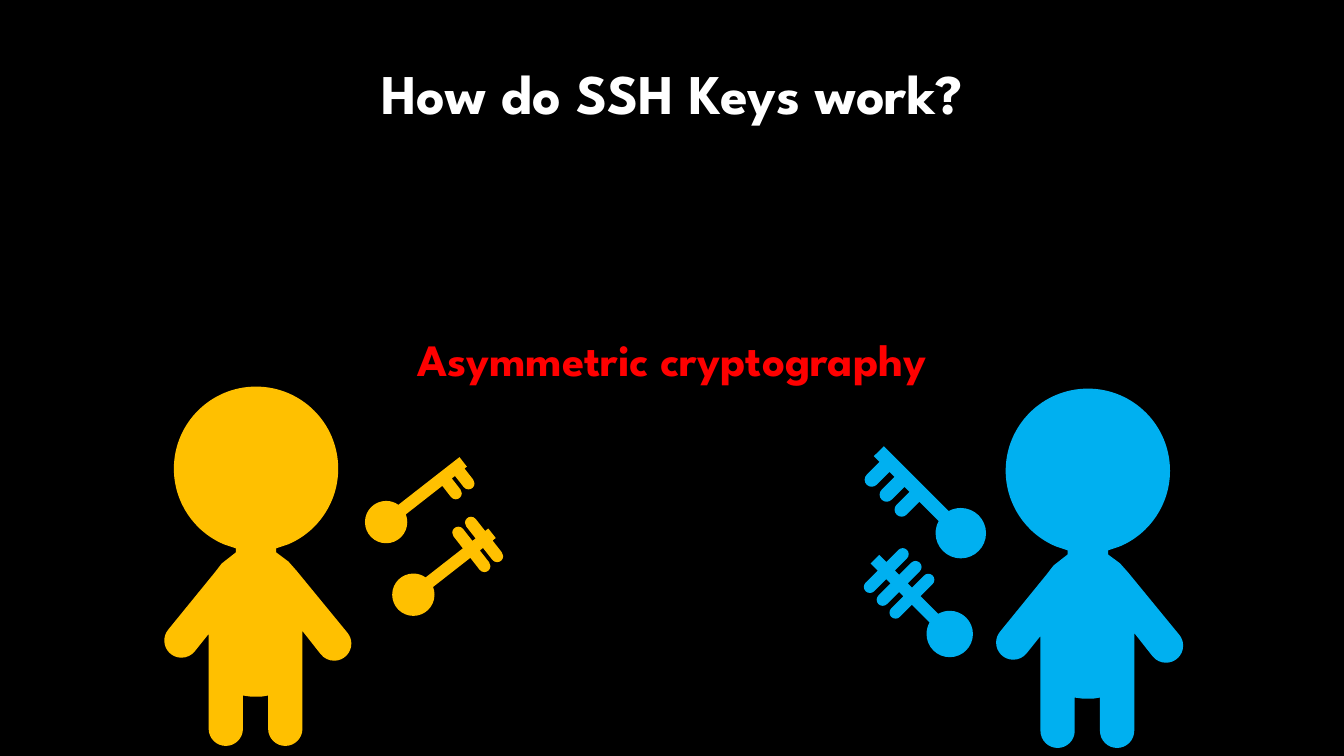
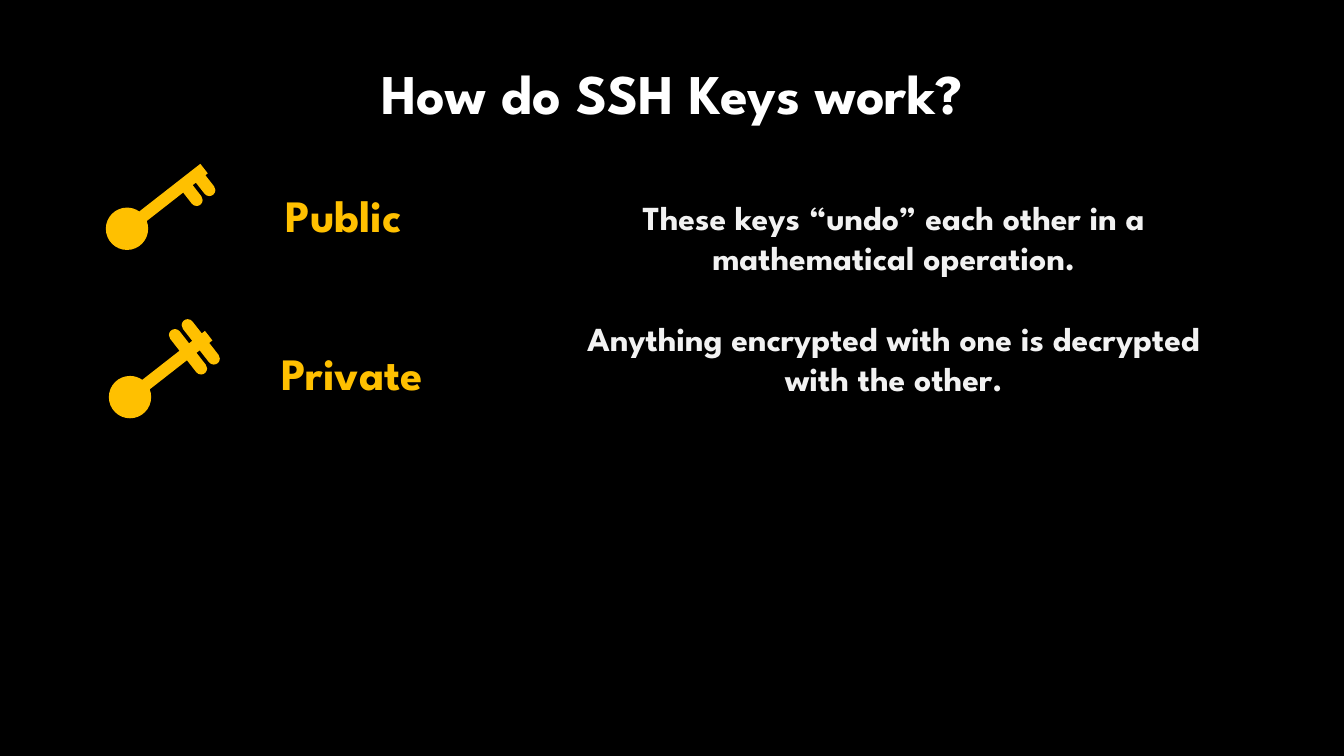
from collections import namedtuple
from math import asin, ceil, cos, degrees, floor, radians, sin, tan

from lxml import etree
from pptx import Presentation
from pptx.dml.color import RGBColor
from pptx.enum.text import MSO_AUTO_SIZE, PP_ALIGN
from pptx.oxml.ns import qn
from pptx.util import Inches, Pt

CENTER = PP_ALIGN.CENTER
FIT_SHAPE = MSO_AUTO_SIZE.SHAPE_TO_FIT_TEXT
BLANK_LAYOUT = 6

BLACK = RGBColor(0x00, 0x00, 0x00)
WHITE = RGBColor(0xFF, 0xFF, 0xFF)
OFF_WHITE = RGBColor(0xF2, 0xF2, 0xF2)
RED = RGBColor(0xFF, 0x00, 0x00)
GOLD = RGBColor(0xFF, 0xC0, 0x00)
BLUE = RGBColor(0x00, 0xB0, 0xF0)
FONT = "League Spartan"
WIDTH, HEIGHT = 13.33, 7.5
TITLE = "How do SSH Keys work?"

# Key sizes in inches, measured from the centre of the bow along the shaft.
# "left" and "right" say how far the teeth reach on each side of the shaft.
GOLD_PUBLIC = dict(color=GOLD, angle=-38, bow=0.21, half=0.06, tip=0.97,
                   teeth=(0.72, 0.88), left=0, right=0.26)
GOLD_PRIVATE = dict(color=GOLD, angle=-38, bow=0.21, half=0.06, tip=0.99,
                    teeth=(0.73, 0.89), left=0.27, right=0.27)
BLUE_PUBLIC = dict(color=BLUE, angle=225, bow=0.25, half=0.07, tip=1.15,
                   teeth=(0.58, 0.79, 1.0), left=0.32, right=0)
BLUE_PRIVATE = dict(color=BLUE, angle=225, bow=0.23, half=0.06, tip=1.05,
                    teeth=(0.53, 0.71, 0.89), left=0.29, right=0.29)

# Texts: paragraphs, (left, top, width, height), size, colour.
# People: head centre, colour. Keys: bow centre, kind of key.
SLIDES = [
    dict(
        texts=[(["Asymmetric cryptography"], (0, 3.24, WIDTH, 0.64), 32, RED)],
        people=[((2.54, 4.65), GOLD), ((10.79, 4.67), BLUE)],
        keys=[((3.83, 5.18), GOLD_PUBLIC), ((4.1, 5.9), GOLD_PRIVATE),
              ((9.53, 5.29), BLUE_PUBLIC), ((9.42, 6.29), BLUE_PRIVATE)],
    ),
    dict(
        texts=[
            (["Public"], (2.59, 1.81, 1.64, 0.64), 32, GOLD),
            (["Private"], (2.54, 3.38, 1.91, 0.64), 32, GOLD),
            (["These keys “undo” each other in a mathematical operation.",
              "Anything encrypted with one is decrypted with the other."],
             (5.7, 1.9, 6.33, 2.12), 24, OFF_WHITE),
        ],
        people=[],
        keys=[((1.26, 2.27), GOLD_PUBLIC), ((1.29, 3.94), GOLD_PRIVATE)],
    ),
]

# Part of a circle, clockwise, in degrees. An outline mixes points and arcs.
Arc = namedtuple("Arc", "x y radius start end")

# Outline around the head centre, clockwise from the left of the neck.
PERSON = [
    Arc(0, 0, 0.815, 113, 427),
    (0.2, 0.79), (0.2, 0.83), (0.32, 0.92), (0.4, 1.01),
    Arc(0.775, 1.735, 0.17, -38, 142),
    (0.46, 1.61),
    Arc(0.29, 2.58, 0.17, 0, 180),
    (0.12, 2.25), (0.06, 2.26), (-0.06, 2.26), (-0.13, 2.25),
    Arc(-0.3, 2.58, 0.17, 0, 180),
    (-0.47, 1.64),
    Arc(-0.74, 1.705, 0.17, 39, 219),
    (-0.41, 1.03), (-0.34, 0.94), (-0.2, 0.83), (-0.2, 0.79),
]


def key_outline(key):
    """Key outline around its bow centre, with the shaft to the right."""
    half, tip, teeth = key["half"], key["tip"], key["teeth"]
    neck = degrees(asin(half / key["bow"]))
    outline = [Arc(0, 0, key["bow"], neck, 360 - neck)]
    sides = ((-1, key["left"], teeth), (1, key["right"], teeth[::-1]))
    for side, reach, row in sides:
        edge = []
        if reach:
            for tooth in row:
                start = 180 if side < 0 else 0
                edge += [(tooth + side * half, side * half),
                         Arc(tooth, side * (reach - half), half, start, start + 180),
                         (tooth - side * half, side * half)]
        corner = [(tip, side * half)]
        outline += edge + corner if side < 0 else corner + edge
    return outline


def turned(x, y, angle):
    c, s = cos(radians(angle)), sin(radians(angle))
    return x * c - y * s, x * s + y * c


def trace(outline, angle):
    """Steps of a turned outline: one point for a line, three for a curve."""
    steps = []
    for part in outline:
        x, y = turned(part[0], part[1], angle)
        if not isinstance(part, Arc):
            steps.append([(x, y)])
            continue
        start, end = part.start + angle, part.end + angle
        quarters = [90 * n for n in range(floor(start / 90) + 1, ceil(end / 90))]
        stops = [start, *quarters, end]

        def on_circle(degree, pull=0):
            """Point on the circle, moved along its tangent by pull."""
            dx, dy = turned(part.radius, part.radius * pull, degree)
            return x + dx, y + dy

        steps.append([on_circle(start)])
        for a, b in zip(stops, stops[1:]):
            pull = 4 / 3 * tan(radians(b - a) / 4)
            steps.append([on_circle(a, pull), on_circle(b, -pull), on_circle(b)])
    return steps


def draw_outline(slide, outline, center, color, angle=0):
    left, top = center
    steps = [[(Inches(left + x), Inches(top + y)) for x, y in step]
             for step in trace(outline, angle)]
    ends = [step[-1] for step in steps]
    builder = slide.shapes.build_freeform(*ends[0], scale=1.0)
    builder.add_line_segments(ends[1:], close=True)
    shape = builder.convert_to_shape()
    segments = shape.element.findall(".//" + qn("a:lnTo"))
    for segment, step in zip(segments, steps[1:]):
        if len(step) == 3:
            segment.tag = qn("a:cubicBezTo")
            for i, (x, y) in enumerate(step[:2]):
                control = etree.Element(qn("a:pt"), x=str(x - shape.left),
                                        y=str(y - shape.top))
                segment.insert(i, control)
    shape.shadow.inherit = False
    shape.fill.solid()
    shape.fill.fore_color.rgb = color
    shape.line.fill.background()


def add_text(slide, lines, place, size, color):
    box = slide.shapes.add_textbox(*map(Inches, place))
    frame = box.text_frame
    frame.word_wrap = True
    frame.auto_size = FIT_SHAPE
    for i, line in enumerate(lines):
        para = frame.add_paragraph() if i else frame.paragraphs[0]
        para.text = line
        para.alignment = CENTER
        if i:
            para.space_before = Pt(size * 1.2)
        font = para.font
        font.name, font.size, font.bold = FONT, Pt(size), True
        font.color.rgb = color


def main():
    deck = Presentation()
    deck.slide_width, deck.slide_height = Inches(WIDTH), Inches(HEIGHT)
    backdrop = deck.slide_master.background.fill
    backdrop.solid()
    backdrop.fore_color.rgb = BLACK

    for content in SLIDES:
        slide = deck.slides.add_slide(deck.slide_layouts[BLANK_LAYOUT])
        add_text(slide, [TITLE], (0, 0.53, WIDTH, 0.77), 40, WHITE)
        for text in content["texts"]:
            add_text(slide, *text)
        for head, color in content["people"]:
            draw_outline(slide, PERSON, head, color)
        for bow, key in content["keys"]:
            draw_outline(slide, key_outline(key), bow, key["color"], key["angle"])
    deck.save("out.pptx")


if __name__ == "__main__":
    main()
